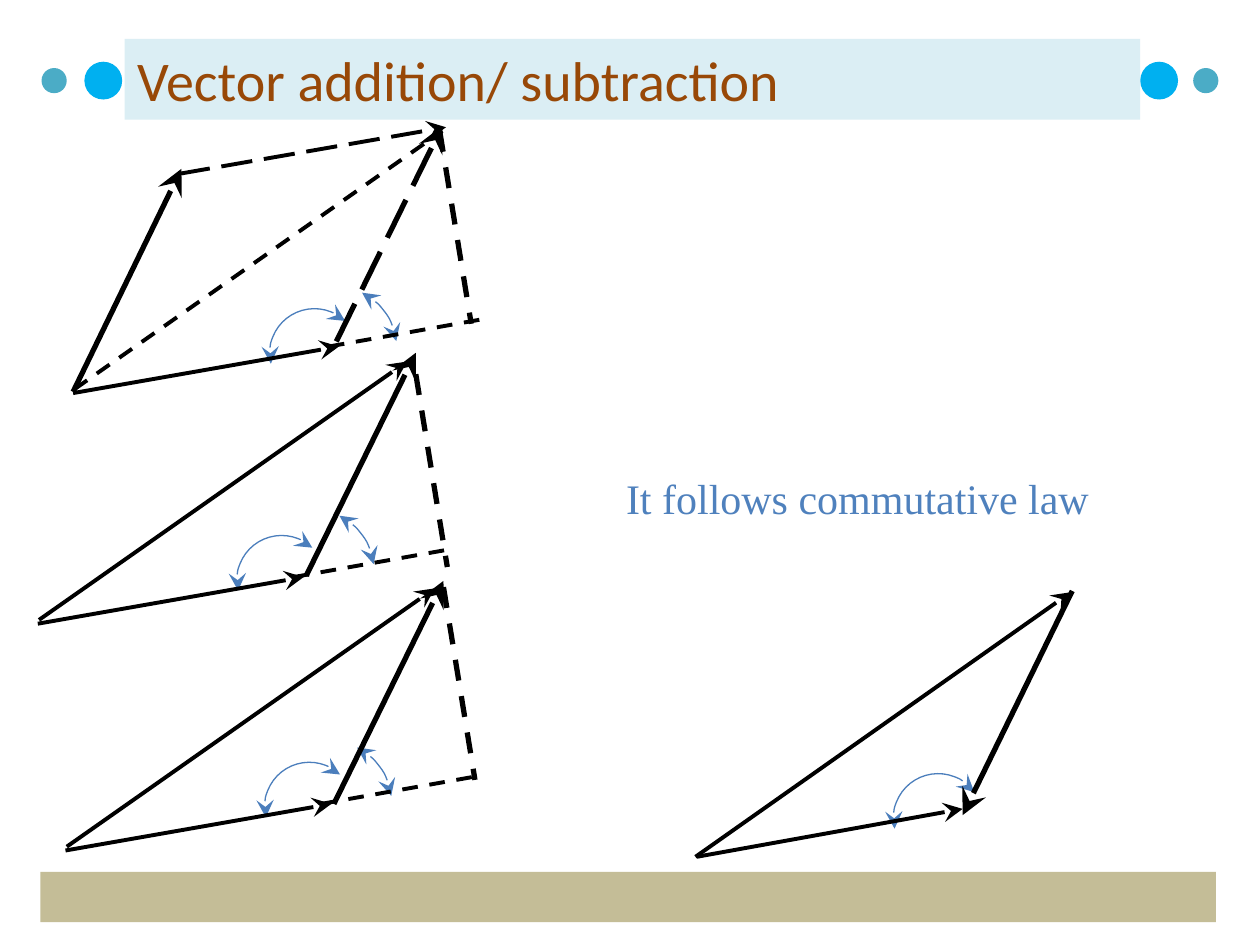
from lxml.etree import SubElement as Sub
from pptx import Presentation
from pptx.dml.color import RGBColor
from pptx.enum.dml import MSO_LINE as Dash
from pptx.enum.shapes import MSO_CONNECTOR as Conn, MSO_SHAPE as Kind
from pptx.enum.text import MSO_ANCHOR as Anchor, PP_ALIGN as Align
from pptx.oxml.ns import qn
from pptx.util import Pt

PX = 9144
BLACK, BLUE = "000000", "4B7EBC"
WIDE = (105.01, 193.09)
SLIM = (183.04, 0.71)


def put(obj, vals):
    """Set each named value on an object."""
    for key, val in vals.items():
        setattr(obj, key, val)


def tint(fmt, hue):
    """Give a fill or font colour from a hex string."""
    if hasattr(fmt, "solid"):
        fmt.solid()
        fmt = fmt.fore_color
    else:
        fmt = fmt.color
    fmt.rgb = RGBColor.from_string(hue)


def pen(line, hue, width, dash=None, ends=()):
    """Style a line and add its arrowheads."""
    tint(line.fill, hue)
    line.width = Pt(width)
    if dash:
        line.dash_style = dash
    for end in ends:
        Sub(line._get_or_add_ln(), qn(f"a:{end}End"),
            type="stealth", w="lg", len="lg")


def block(slide, kind, box, hue):
    """Add a plain filled shape."""
    shape = slide.shapes.add_shape(kind, *(n * PX for n in box))
    shape.shadow.inherit = False
    tint(shape.fill, hue)
    shape.line.fill.background()
    return shape


def write(shape, text, hue, font, frame, para):
    """Write one styled paragraph in a shape."""
    put(shape.text_frame, {"word_wrap": True, **frame})
    item = shape.text_frame.paragraphs[0]
    put(item, para)
    run = item.add_run()
    run.text = text
    put(run.font, font)
    tint(run.font, hue)


def ray(slide, start, stop, width=2.25, dash=None, ends=("tail",)):
    """Draw a straight line between two points."""
    line = slide.shapes.add_connector(
        Conn.STRAIGHT, *(n * PX for n in (*start, *stop)))
    Sub(line._element.spPr, qn("a:effectLst"))
    pen(line.line, BLACK, width, dash, ends)


def arc(slide, spot, size, turn):
    """Draw an angle mark with two arrowheads."""
    shape = slide.shapes.add_shape(
        Kind.ARC, *(n * PX for n in (*spot, size, size)))
    shape.shadow.inherit = False
    shape.rotation = 351.6
    for i, val in enumerate(turn):
        shape.adjustments[i] = val
    shape.fill.background()
    pen(shape.line, BLUE, 0.75, None, ("head", "tail"))


def figure(slide, base, tip, drop, wide, slim, sum_end=("tail",),
           sum_dash=None, side_dash=None):
    """Draw a vector triangle with its dashed height and angles."""
    def move(spot, x, y):
        return spot[0] + x, spot[1] + y

    ray(slide, move(base, 1, -3), move(base, 293, -208), 2.25,
        sum_dash, sum_end)
    arc(slide, wide, 71, WIDE)
    arc(slide, slim, 100, SLIM)
    ray(slide, base, move(base, 211, -37))
    ray(slide, tip, move(tip, -87, 177), 3, side_dash, ("head",))
    ray(slide, move(base, 203, -37), move(base, 327, -59), 2.25,
        Dash.DASH, ())
    ray(slide, drop, move(drop, 25, 153), 3, Dash.DASH, ())


def main():
    """Build the slide and save it."""
    deck = Presentation()
    put(deck, {"slide_width": 1000 * PX, "slide_height": 750 * PX})
    slide = deck.slides.add_slide(deck.slide_layouts[6])

    block(slide, Kind.RECTANGLE, (32, 692, 933, 40), "C4BD97")
    title = block(slide, Kind.RECTANGLE, (99, 31, 806, 64), "DBEEF4")
    write(title, "Vector addition/ subtraction", "984807",
          {"size": Pt(32), "name": "Calibri"},
          {"vertical_anchor": Anchor.MIDDLE}, {"alignment": Align.LEFT})
    for x, y, size, hue in ((905, 49, 30, "00B0F0"), (67, 49, 30, "00B0F0"),
                            (947, 54, 20, "4BACC6"), (33, 54, 20, "4BACC6")):
        block(slide, Kind.OVAL, (x, y, size, size), hue)
    note = slide.shapes.add_textbox(*(n * PX for n in (487, 350, 388, 71)))
    write(note, "It follows commutative law", "4F81BD",
          {"size": Pt(24), "name": "Times New Roman"}, {},
          {"alignment": Align.JUSTIFY, "line_spacing": 1.5})

    figure(slide, (58, 312), (351, 100), (349, 104), (214, 245), (215, 227),
           (), Dash.DASH, Dash.LONG_DASH)
    ray(slide, (144, 134), (58, 311), 3, None, ("head",))
    ray(slide, (142, 138), (354, 101), 2.25, Dash.LONG_DASH)
    figure(slide, (30, 495), (330, 280), (330, 297), (188, 425), (197, 404))
    figure(slide, (52, 675), (352, 461), (352, 466), (210, 605), (211, 588))

    ray(slide, (552, 680), (850, 470))
    arc(slide, (709, 614), 71, (105.01, 199.49))
    ray(slide, (553, 680), (764, 642))
    ray(slide, (851, 469), (764, 647), 3)
    deck.save("out.pptx")


if __name__ == "__main__":
    main()
